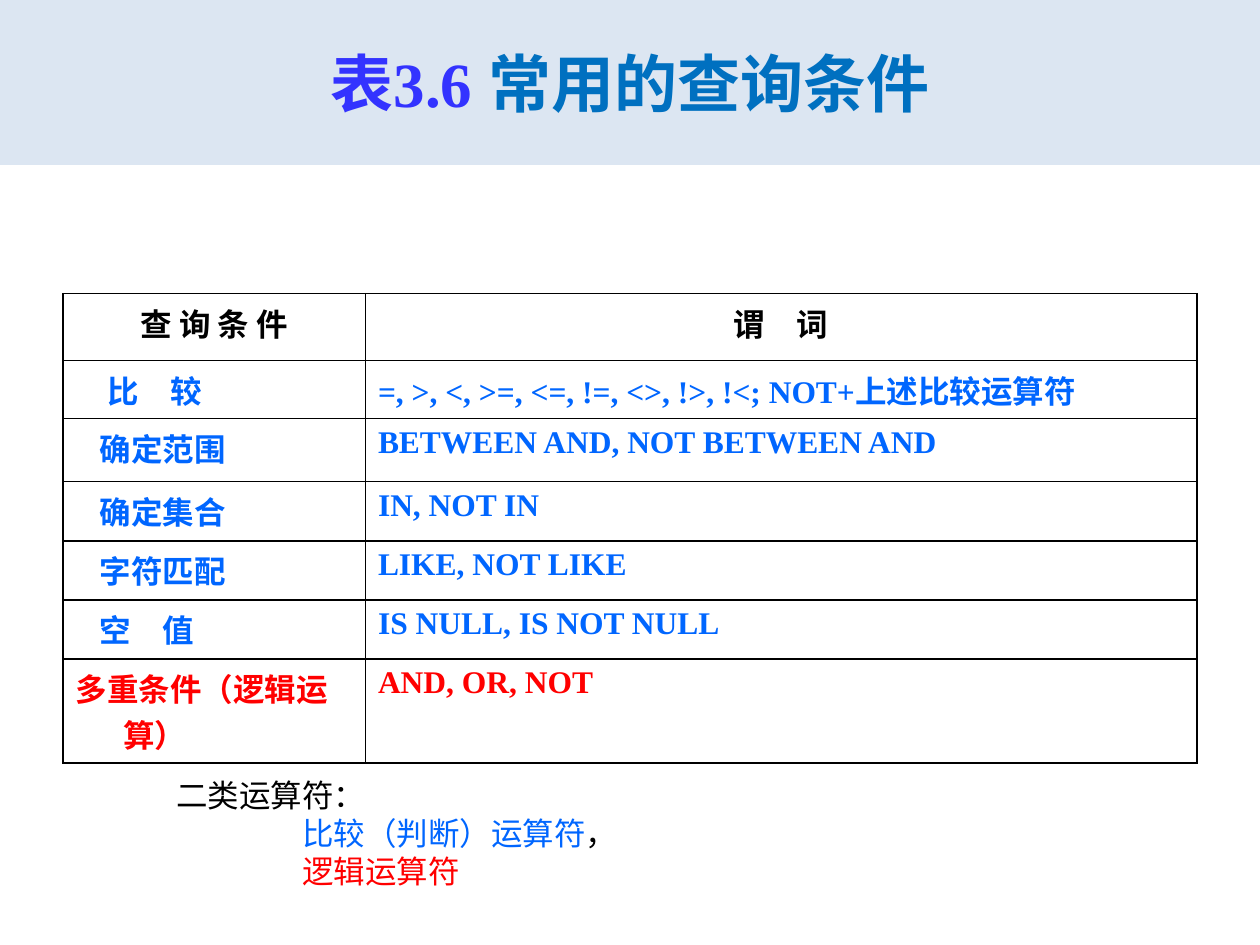
from lxml.etree import SubElement
from pptx import Presentation
from pptx.dml.color import RGBColor
from pptx.enum.shapes import MSO_SHAPE
from pptx.enum.text import MSO_ANCHOR, PP_ALIGN
from pptx.oxml.ns import qn
from pptx.util import Inches, Pt

COLORS = {
    "band": "DCE6F2",
    "violet": "3333FF",
    "title": "0070C0",
    "blue": "0066FF",
    "red": "FF0000",
    "black": "000000",
}
COL_WIDTHS = [2.4, 6.6]
HANGING = (0.38, -0.38)
ROWS = [
    (0.53, "black", HANGING, "查 询 条 件", "谓　词"),
    (0.42, "blue", (0.25, 0), "比　较", "=, >, <, >=, <=, !=, <>, !>, !<; NOT+上述比较运算符"),
    (0.5, "blue", (0.19, 0), "确定范围", "BETWEEN AND, NOT BETWEEN AND"),
    (0.47, "blue", (0.19, 0), "确定集合", "IN, NOT IN"),
    (0.47, "blue", (0.19, 0), "字符匹配", "LIKE, NOT LIKE"),
    (0.47, "blue", (0.19, 0), "空　值", "IS NULL, IS NOT NULL"),
    (0.7, "red", HANGING, "多重条件（逻辑运算）", "AND, OR, NOT"),
]
NOTES = [
    (0, [("二类运算符：", "black")]),
    (1, [("比较（判断）运算符", "blue"), ("，", "black")]),
    (1, [("逻辑运算符", "red")]),
]


def rgb(name):
    """Return the named colour."""
    return RGBColor.from_string(COLORS[name])


def add_text(p, text, size=18, font="Times New Roman", color="black", bold=True):
    """Add a formatted run to a paragraph."""
    r = p.add_run()
    r.text = text
    r.font.size = Pt(size)
    r.font.name = font
    r.font.bold = bold
    r.font.color.rgb = rgb(color)


def set_indent(p, left, first=0):
    """Set the left margin and first-line indent in inches."""
    pPr = p._p.get_or_add_pPr()
    pPr.set("marL", str(Inches(left)))
    pPr.set("indent", str(Inches(first)))


def set_borders(cell):
    """Draw a thin black line on every side of a cell."""
    tcPr = cell._tc.get_or_add_tcPr()
    for side in ("a:lnL", "a:lnR", "a:lnT", "a:lnB"):
        ln = SubElement(tcPr, qn(side), w=str(Pt(1)))
        fill = SubElement(ln, qn("a:solidFill"))
        SubElement(fill, qn("a:srgbClr"), val=COLORS["black"])


def add_title(s, x, y, w, h):
    """Place the title band."""
    sp = s.shapes.add_shape(MSO_SHAPE.RECTANGLE, Inches(x), Inches(y), Inches(w), Inches(h))
    sp.shadow.inherit = False
    sp.fill.solid()
    sp.fill.fore_color.rgb = rgb("band")
    sp.line.fill.background()
    tf = sp.text_frame
    tf.word_wrap = True
    tf.vertical_anchor = MSO_ANCHOR.MIDDLE
    p = tf.paragraphs[0]
    p.alignment = PP_ALIGN.CENTER
    add_text(p, "表3.6 ", size=36, color="violet")
    add_text(p, "常用的查询条件", size=36, color="title")


def add_conditions(s, x, y, w, h):
    """Place the table of query conditions and predicates."""
    frame = s.shapes.add_table(
        len(ROWS), len(COL_WIDTHS), Inches(x), Inches(y), Inches(w), Inches(h)
    )
    table = frame.table
    table.first_row = False
    table.horz_banding = False
    for column, width in zip(table.columns, COL_WIDTHS):
        column.width = Inches(width)
    for i, (height, color, indent, *texts) in enumerate(ROWS):
        table.rows[i].height = Inches(height)
        for j, text in enumerate(texts):
            cell = table.cell(i, j)
            set_borders(cell)
            cell.fill.background()
            p = cell.text_frame.paragraphs[0]
            p.alignment = PP_ALIGN.CENTER if i == 0 else PP_ALIGN.LEFT
            set_indent(p, *(HANGING if j else indent))
            add_text(p, text, color=color)


def add_notes(s, x, y, w, h):
    """Place the list of operator kinds below the table."""
    sp = s.shapes.add_textbox(Inches(x), Inches(y), Inches(w), Inches(h))
    tf = sp.text_frame
    tf.word_wrap = True
    for i, (left, runs) in enumerate(NOTES):
        p = tf.add_paragraph() if i else tf.paragraphs[0]
        set_indent(p, left)
        for text, color in runs:
            add_text(p, text, font="Arial", color=color, bold=False)


def main():
    """Build and save the slide."""
    prs = Presentation()
    prs.slide_width, prs.slide_height = Inches(10), Inches(7.5)
    s = prs.slides.add_slide(prs.slide_layouts[6])
    add_title(s, 0, 0, 10, 1.31)
    add_conditions(s, 0.5, 2.33, 9, 3.56)
    add_notes(s, 1.3, 6.11, 5.12, 1.01)
    prs.save("out.pptx")


if __name__ == "__main__":
    main()
